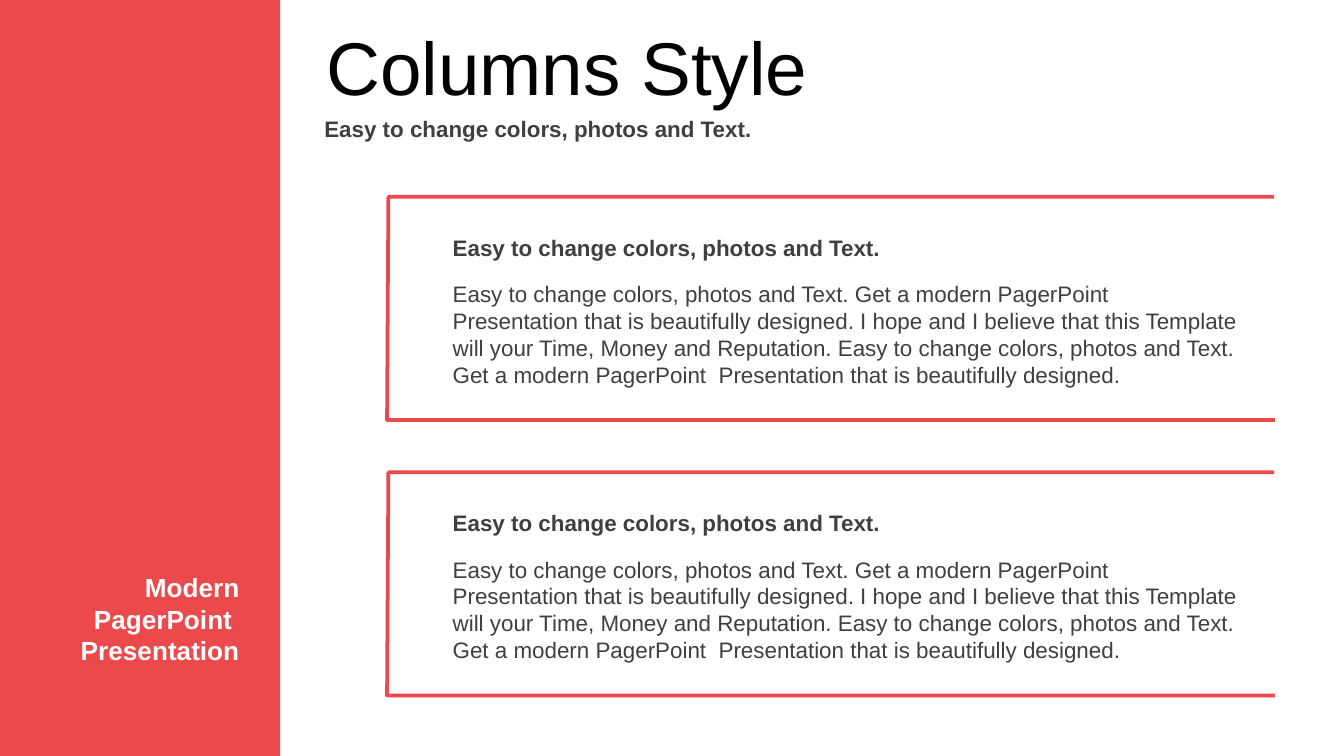
from dataclasses import dataclass

from pptx import Presentation
from pptx.dml.color import RGBColor
from pptx.enum.shapes import MSO_SHAPE
from pptx.enum.text import MSO_ANCHOR, PP_ALIGN
from pptx.slide import Slide
from pptx.util import Pt

EMU_PER_PX = 4572
SLIDE_WIDTH = 2000
SLIDE_HEIGHT = 1125
RED = RGBColor(0xEB, 0x49, 0x4B)
GRAY = RGBColor(0x3F, 0x3F, 0x3F)
BLACK = RGBColor(0, 0, 0)
WHITE = RGBColor(0xFF, 0xFF, 0xFF)

TAGLINE = "Easy to change colors, photos and Text."
DESCRIPTION = (
    f"{TAGLINE} Get a modern PagerPoint  Presentation that is beautifully designed. "
    "I hope and I believe that this Template will your Time, Money and Reputation. "
    f"{TAGLINE} Get a modern PagerPoint  Presentation that is beautifully designed."
)
FIRST_PANEL_TOP = 293
PANEL_PITCH = 410
PANEL_COUNT = 2


@dataclass(frozen=True)
class Label:
    text: str
    left: int
    top: int
    width: int
    height: int
    size: int = 12
    color: RGBColor = GRAY
    bold: bool = False
    align: PP_ALIGN = PP_ALIGN.LEFT
    anchor: MSO_ANCHOR = MSO_ANCHOR.TOP
    vertical_inset: int = 10


def px(*lengths: int) -> list[int]:
    return [length * EMU_PER_PX for length in lengths]


def draw_label(slide: Slide, label: Label) -> None:
    shape = slide.shapes.add_textbox(*px(label.left, label.top, label.width, label.height))
    frame = shape.text_frame
    side, vertical = px(20, label.vertical_inset)
    frame_format = {
        "word_wrap": True,
        "vertical_anchor": label.anchor,
        "margin_left": side,
        "margin_right": side,
        "margin_top": vertical,
        "margin_bottom": vertical,
    }
    for name, value in frame_format.items():
        setattr(frame, name, value)
    paragraph = frame.paragraphs[0]
    paragraph.alignment = label.align
    run = paragraph.add_run()
    run.text = label.text
    font_format = {"name": "Arial", "size": Pt(label.size), "bold": label.bold}
    for name, value in font_format.items():
        setattr(run.font, name, value)
    run.font.color.rgb = label.color


def draw_sidebar(slide: Slide) -> None:
    shape = slide.shapes.add_shape(MSO_SHAPE.RECTANGLE, *px(0, 0, 417, SLIDE_HEIGHT))
    shape.shadow.inherit = False
    shape.fill.solid()
    shape.fill.fore_color.rgb = RED
    shape.line.fill.background()


def draw_panel(slide: Slide, top: int) -> None:
    bottom = top + 332
    builder = slide.shapes.build_freeform(1896, top, scale=EMU_PER_PX)
    builder.add_line_segments([(578, top), (576, bottom), (1897, bottom)], close=False)
    shape = builder.convert_to_shape()
    shape.shadow.inherit = False
    shape.fill.background()
    shape.line.color.rgb = RED
    shape.line.width = Pt(2)
    draw_label(slide, Label(DESCRIPTION, 654, top + 114, 1212, 182))
    draw_label(slide, Label(TAGLINE, 654, top + 45, 1212, 60, bold=True))


def main() -> None:
    presentation = Presentation()
    presentation.slide_width, presentation.slide_height = px(SLIDE_WIDTH, SLIDE_HEIGHT)
    slide = presentation.slides.add_slide(presentation.slide_layouts[6])
    draw_sidebar(slide)
    for index in range(PANEL_COUNT):
        draw_panel(slide, FIRST_PANEL_TOP + index * PANEL_PITCH)
    labels = [
        Label("Modern PagerPoint  Presentation", 40, 841, 336, 162, size=14,
              color=WHITE, bold=True, align=PP_ALIGN.RIGHT),
        Label(TAGLINE, 463, 161, 1537, 62, bold=True,
              anchor=MSO_ANCHOR.MIDDLE, vertical_inset=20),
        Label("Columns Style", 466, 38, 1534, 120, size=40, color=BLACK,
              anchor=MSO_ANCHOR.MIDDLE, vertical_inset=20),
    ]
    for label in labels:
        draw_label(slide, label)
    presentation.save("out.pptx")


if __name__ == "__main__":
    main()
